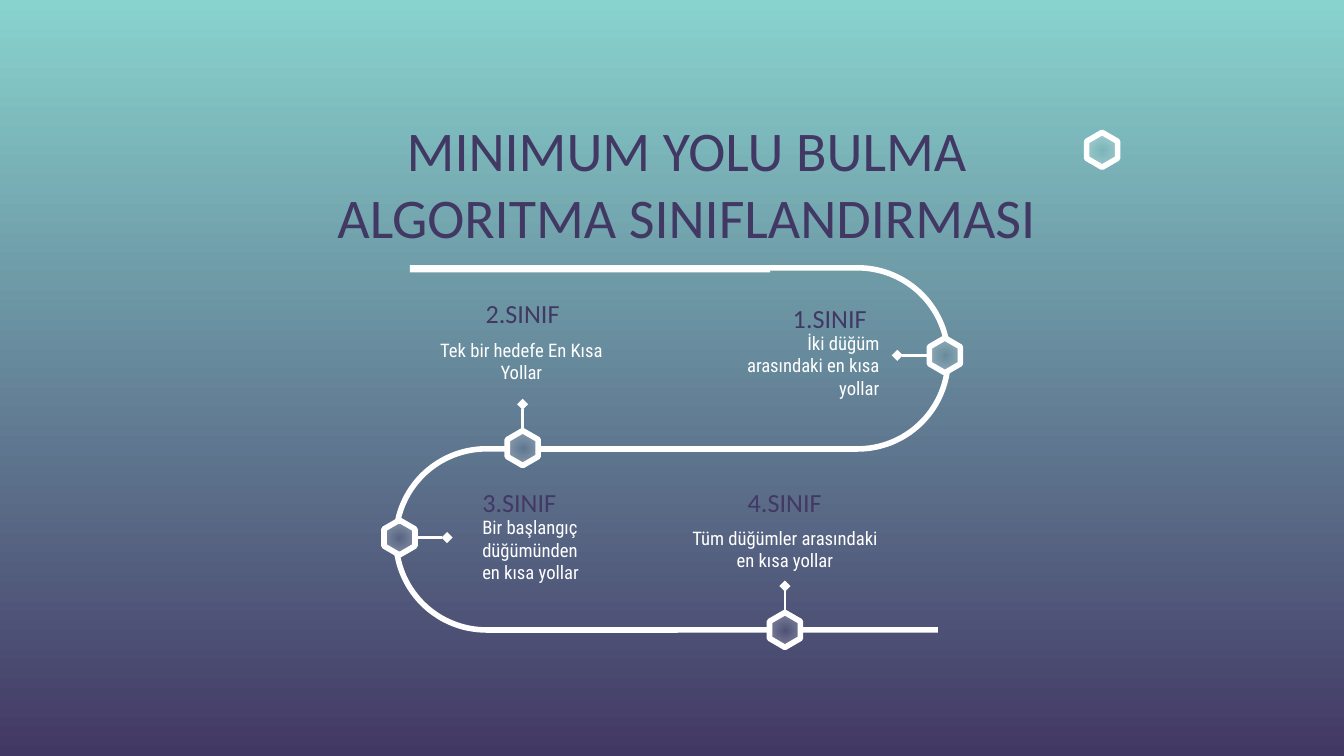
from math import cos, radians, sin

from lxml import etree
from pptx import Presentation
from pptx.dml.color import RGBColor
from pptx.enum.shapes import MSO_CONNECTOR as Connector, MSO_SHAPE as Shape
from pptx.enum.text import MSO_ANCHOR as Anchor, PP_ALIGN as Align
from pptx.oxml import parse_xml
from pptx.oxml.ns import nsdecls, qn
from pptx.util import Pt

WHITE, PURPLE, TEAL = "FFFFFF", "423864", "88D3CE"
OUTER, INNER = 50, 47  # radii of the road's bends
ROAD = OUTER - INNER
HEX_LONG, HEX_SHORT = 18.7, 16.6


def color(hex_string):
    return RGBColor.from_string(hex_string)


def set_background(slide):
    fill = slide.background.fill
    fill.gradient()
    fill.gradient_angle = 270
    for stop, c in zip(fill.gradient_stops, (TEAL, PURPLE)):
        stop.color.rgb = color(c)
    fill.gradient_stops[0].position = 0
    fill.gradient_stops[1].position = 1


def add_text(slide, text, box, size, font, c, align, space_after=0):
    tf = slide.shapes.add_textbox(*map(Pt, box)).text_frame
    tf.word_wrap = True
    tf.vertical_anchor = Anchor.TOP
    tf.margin_left = tf.margin_right = tf.margin_top = tf.margin_bottom = Pt(7.2)
    p = tf.paragraphs[0]
    p.text = text
    p.alignment = align
    p.space_after = Pt(space_after)
    for r in p.runs:
        r.font.size = Pt(size)
        r.font.name = font
        r.font.color.rgb = color(c)


def paint_white(s):
    s.shadow.inherit = False
    s.fill.solid()
    s.fill.fore_color.rgb = color(WHITE)
    s.line.fill.background()


def add_bar(slide, x, y, width, height=ROAD):
    paint_white(slide.shapes.add_shape(Shape.RECTANGLE, Pt(x), Pt(y), Pt(width), Pt(height)))


def add_bend(slide, center, straight_x, start, end):
    """Draw a straight piece of road from straight_x, then an arc between two angles."""
    cx, cy = center
    steps = 30
    angles = [radians(start + (end - start) * i / steps) for i in range(steps + 1)]

    def edge(radius):
        arc = [(cx + radius * cos(a), cy + radius * sin(a)) for a in angles]
        return [(straight_x, arc[0][1])] + arc

    points = [(Pt(x), Pt(y)) for x, y in edge(OUTER) + edge(INNER)[::-1]]
    builder = slide.shapes.build_freeform(*points[0])
    builder.add_line_segments(points[1:], close=True)
    paint_white(builder.convert_to_shape())


def add_hexagon(slide, cx, cy):
    """Draw an upright hexagon whose white fill fades out towards its centre."""
    s = slide.shapes.add_shape(
        Shape.HEXAGON, Pt(cx - HEX_LONG / 2), Pt(cy - HEX_SHORT / 2), Pt(HEX_LONG), Pt(HEX_SHORT))
    s.rotation = 90
    s.adjustments[0] = 0.29
    s.shadow.inherit = False
    s.line.color.rgb = color(WHITE)
    s.line.width = Pt(3)
    stops = "".join(
        f'<a:gs pos="{pos}"><a:srgbClr val="{WHITE}"><a:alpha val="{alpha}"/></a:srgbClr></a:gs>'
        for pos, alpha in ((0, 0), (100000, 39000)))
    fade = parse_xml(
        f'<a:gradFill {nsdecls("a")}><a:gsLst>{stops}</a:gsLst><a:path path="circle">'
        '<a:fillToRect l="50000" t="50000" r="50000" b="50000"/></a:path></a:gradFill>')
    s._element.spPr.find(qn("a:prstGeom")).addnext(fade)


def add_pointer(slide, x1, y1, x2, y2):
    s = slide.shapes.add_connector(Connector.STRAIGHT, Pt(x1), Pt(y1), Pt(x2), Pt(y2))
    s.line.color.rgb = color(WHITE)
    s.line.width = Pt(1.5)
    etree.SubElement(s.line._get_or_add_ln(), qn("a:tailEnd"), type="diamond")
    etree.SubElement(s._element.spPr, qn("a:effectLst"))


def main():
    prs = Presentation()
    prs.slide_width, prs.slide_height = Pt(720), Pt(405)
    slide = prs.slides.add_slide(prs.slide_layouts[6])
    set_background(slide)

    add_text(slide, "MINIMUM YOLU BULMA ALGORITMA SINIFLANDIRMASI",
             (149.8, 54.7, 436.3, 40.3), 30, "Calibri", PURPLE, Align.CENTER)

    # heading, its left and top, description, its box, alignment, space after
    classes = [
        ("1.SINIF\t", 417.6, 154.8, "İki düğüm arasındaki en kısa yollar",
         (388.1, 170.6, 90, 43.2), Align.RIGHT, 0),
        ("2.SINIF", 249.8, 151.9, "Tek bir hedefe En Kısa Yollar",
         (228.2, 174.2, 102.2, 43.2), Align.CENTER, 16),
        ("3.SINIF", 251.3, 253.4, "Bir başlangıç düğümünden en kısa yollar",
         (251.3, 269.3, 69.1, 45.4), Align.LEFT, 0),
        ("4.SINIF", 390.2, 253.4, "Tüm düğümler arasındaki en kısa yollar",
         (360.7, 275, 119.5, 45.4), Align.CENTER, 16),
    ]
    for heading, x, y, description, box, align, after in classes:
        add_text(slide, heading, (x, y, 60.5, 23.8), 14, "Calibri", PURPLE, align)
        add_text(slide, description, box, 10, "Roboto Condensed", WHITE, align, after)

    # hexagon centre and the direction of its pointer
    stations = [
        ((590.4, 80.3), None),
        ((506.2, 190.4), (-1, 0)),
        ((280, 240.1), (0, -1)),
        ((214, 288), (1, 0)),
        ((420.5, 337.5), (0, -1)),
    ]
    for (cx, cy), direction in stations:
        add_hexagon(slide, cx, cy)
        if direction:
            dx, dy = direction
            add_pointer(slide, cx + 9 * dx, cy + 9 * dy, cx + 25.5 * dx, cy + 23.5 * dy)

    right, left = (459.4, 192), (260.6, 289)
    add_bend(slide, right, 406, -90, -12)
    add_bend(slide, right, 288, 90, 9)
    add_bend(slide, left, 271.5, 270, 190)
    add_bend(slide, left, 363, 90, 172)
    add_bar(slide, 219.6, 142, 193, 4)
    for x in (339.1, 429.1):
        add_bar(slide, x, 336, 73.4)

    prs.save("out.pptx")


if __name__ == "__main__":
    main()
